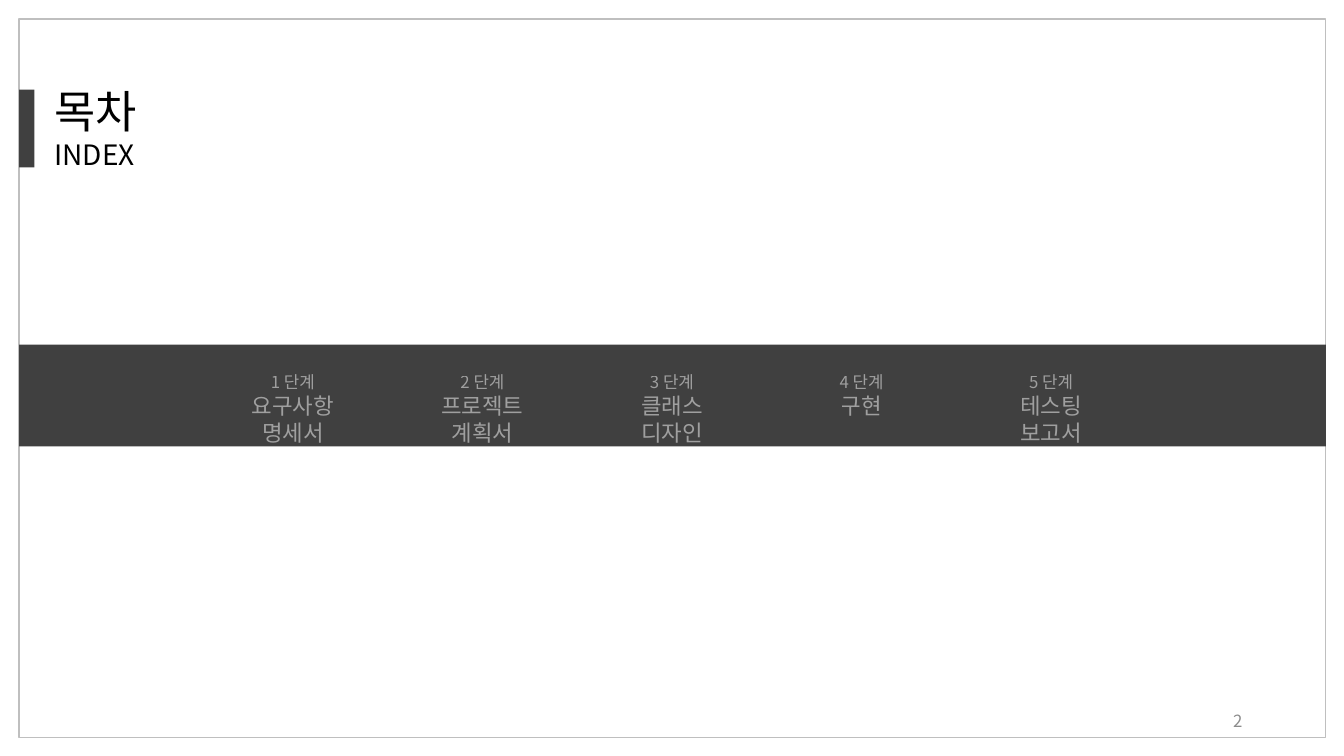
from lxml import etree
from pptx import Presentation
from pptx import util as u
from pptx.dml.color import RGBColor
from pptx.enum import shapes, text
from pptx.oxml import ns

FONT = "Noto Sans CJK KR"
BLACK = RGBColor(0x00, 0x00, 0x00)
WHITE = RGBColor(0xFF, 0xFF, 0xFF)
CHARCOAL = RGBColor(0x40, 0x40, 0x40)
SILVER = RGBColor(0xBF, 0xBF, 0xBF)
GRAY = RGBColor(0x8C, 0x8C, 0x8C)


def add_rect(left, top, width, height):
    rect = slide.shapes.add_shape(
        shapes.MSO_SHAPE.RECTANGLE,
        u.Inches(left), u.Inches(top), u.Inches(width), u.Inches(height))
    rect.shadow.inherit = False
    return rect


def write_lines(frame, lines, color, align, faded):
    settings = {
        "word_wrap": True,
        "auto_size": text.MSO_AUTO_SIZE.SHAPE_TO_FIT_TEXT,
        "vertical_anchor": text.MSO_ANCHOR.TOP,
    }
    for key, value in settings.items():
        setattr(frame, key, value)
    for index, (words, size) in enumerate(lines):
        paragraph = frame.paragraphs[0] if index == 0 else frame.add_paragraph()
        paragraph.alignment = align
        run = paragraph.add_run()
        run.text = words
        for key, value in {"name": FONT, "size": u.Pt(size)}.items():
            setattr(run.font, key, value)
        run.font.color.rgb = color
        props = run.font._element
        etree.SubElement(props, ns.qn("a:ea"), typeface=FONT)
        outline = etree.Element(ns.qn("a:ln"), w=str(u.Pt(0.75)))
        fill = etree.SubElement(outline, ns.qn("a:solidFill"))
        tint = etree.SubElement(fill, ns.qn("a:srgbClr"), val=str(color))
        etree.SubElement(tint, ns.qn("a:alpha"), val="50000")
        props.insert(0, outline)
        if faded:
            solid = props.find(ns.qn("a:solidFill"))
            etree.SubElement(solid[0], ns.qn("a:alpha"), val="50000")


deck = Presentation()
deck.slide_width = u.Inches(13.33)
deck.slide_height = u.Inches(7.5)
slide = deck.slides.add_slide(deck.slide_layouts[5])

border = add_rect(0.19, 0.19, 12.96, 7.13)
border.fill.background()
border.line.color.rgb = SILVER
border.line.width = u.Pt(1)

for bounds in [(0.19, 0.89, 0.15, 0.77), (0.19, 3.42, 12.96, 1.01)]:
    bar = add_rect(*bounds)
    bar.fill.solid()
    bar.fill.fore_color.rgb = CHARCOAL
    bar.line.fill.background()

heading = slide.shapes.title
place = {"left": 0.44, "top": 0.78, "width": 1.37, "height": 0.98}
for key, value in place.items():
    setattr(heading, key, u.Inches(value))
write_lines(heading.text_frame, [("목차", 32), ("INDEX", 20)],
            BLACK, text.PP_ALIGN.LEFT, False)

stages = [
    ["요구사항 명세서"],
    ["프로젝트 계획서"],
    ["클래스", "디자인"],
    ["구현"],
    ["테스팅", "보고서"],
]
for index, names in enumerate(stages):
    height = 0.57 if names == ["구현"] else 0.84
    stage = slide.shapes.add_textbox(
        u.Inches(2.22 + 1.88 * index), u.Inches(3.64),
        u.Inches(1.37), u.Inches(height))
    lines = [(f"{index + 1} 단계", 12)] + [(name, 16) for name in names]
    write_lines(stage.text_frame, lines, WHITE, text.PP_ALIGN.CENTER, True)

page = slide.shapes.add_textbox(
    u.Inches(9.42), u.Inches(6.95), u.Inches(3), u.Inches(0.4))
page.text_frame.word_wrap = True
page.text_frame.vertical_anchor = text.MSO_ANCHOR.MIDDLE
number = page.text_frame.paragraphs[0]
number.alignment = text.PP_ALIGN.RIGHT
digit = number.add_run()
digit.text = "2"
for key, value in {"name": FONT, "size": u.Pt(12)}.items():
    setattr(digit.font, key, value)
digit.font.color.rgb = GRAY

deck.save("out.pptx")
